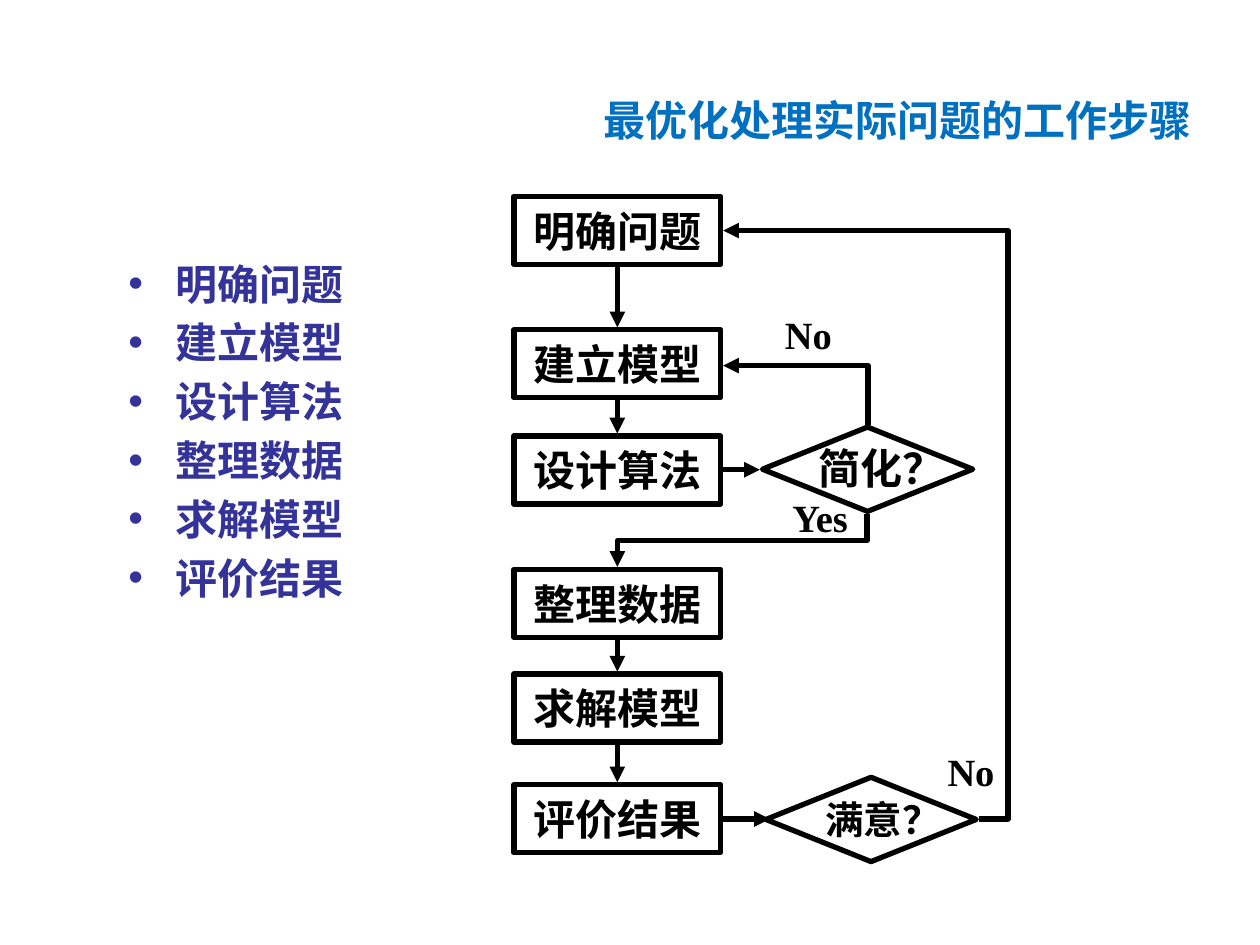
from lxml import etree
from pptx import Presentation
from pptx.dml.color import RGBColor
from pptx.enum import shapes, text
from pptx.oxml import ns
from pptx.util import Cm, Pt

BLACK = RGBColor(0x00, 0x00, 0x00)
INDIGO = RGBColor(0x33, 0x33, 0x99)
BLUE = RGBColor(0x00, 0x70, 0xC0)
SERIF, SANS, HAN = "Times New Roman", "Arial", "Noto Sans CJK SC"

STEPS = ["明确问题", "建立模型", "设计算法", "整理数据", "求解模型", "评价结果"]
TOPS = [3.96, 6.65, 8.79, 11.48, 13.59, 15.82]
LEFT, WIDE, HIGH = 10.36, 4.17, 1.37
MID = LEFT + WIDE / 2
SIDE = LEFT + WIDE + 0.05
GAP = 0.05


def add(node, tag, **attrs):
    return etree.SubElement(node, ns.qn(tag), **attrs)


def style(par, size, color, face):
    for run in par.runs:
        font = run.font
        font.size, font.bold = Pt(size), True
        font.color.rgb = color
        font.name = face
        add(font._element, "a:ea", typeface=HAN)


def label(slide, words, x, y, w, h, size=24):
    """Centred black text with no outline."""
    box = slide.shapes.add_textbox(Cm(x), Cm(y), Cm(w), Cm(h))
    center(box.text_frame, words, size)


def center(frame, words, size=24):
    frame.text = words
    frame.word_wrap = False
    frame.vertical_anchor = text.MSO_ANCHOR.MIDDLE
    par = frame.paragraphs[0]
    par.alignment = text.PP_ALIGN.CENTER
    style(par, size, BLACK, SERIF)


def node(slide, kind, x, y, w, h):
    shape = slide.shapes.add_shape(kind, Cm(x), Cm(y), Cm(w), Cm(h))
    shape.shadow.inherit = False
    shape.fill.background()
    shape.line.color.rgb = BLACK
    shape.line.width = Pt(3)
    return shape


def arrow(slide, start, end, kind=shapes.MSO_CONNECTOR.STRAIGHT, turn=False):
    """Arrow from start to end; turn makes an elbow leave vertically."""
    cx, cy = (start[0] + end[0]) / 2, (start[1] + end[1]) / 2
    dx, dy = start[0] - cx, start[1] - cy
    if turn:
        dx, dy = dy, -dx
    link = slide.shapes.add_connector(
        kind, Cm(cx + dx), Cm(cy + dy), Cm(cx - dx), Cm(cy - dy))
    link.line.color.rgb = BLACK
    link.line.width = Pt(3)
    props = link._element.spPr
    add(props.find(ns.qn("a:ln")), "a:tailEnd", type="triangle")
    add(props, "a:effectLst")
    if turn:
        props.find(ns.qn("a:xfrm")).set("rot", "5400000")
    return props.find(ns.qn("a:prstGeom"))


def bullets(slide):
    box = slide.shapes.add_textbox(Cm(2.34), Cm(5.08), Cm(5.28), Cm(11.63))
    frame = box.text_frame
    frame.word_wrap = True
    frame.text = "\n".join(STEPS)
    for par in frame.paragraphs:
        par.space_before = Pt(4.8)
        style(par, 24, INDIGO, SANS)
        props = par._p.get_or_add_pPr()
        props.set("marL", str(Cm(0.95)))
        props.set("indent", str(-Cm(0.95)))
        add(props, "a:buFont", typeface=SANS)
        add(props, "a:buChar", char="•")


def title(slide):
    box = slide.shapes.add_textbox(Cm(11.91), Cm(1.78), Cm(12.7), Cm(1.3))
    box.text_frame.word_wrap = True
    box.text_frame.text = "最优化处理实际问题的工作步骤"
    style(box.text_frame.paragraphs[0], 24, BLUE, HAN)


def chart(slide):
    # Steps and the arrows down between them
    for words, top in zip(STEPS, TOPS):
        box = node(slide, shapes.MSO_SHAPE.RECTANGLE, LEFT, top, WIDE, HIGH)
        center(box.text_frame, words)
    for i, (top, below) in enumerate(zip(TOPS, TOPS[1:])):
        if i != 2:
            arrow(slide, (MID, top + HIGH + GAP), (MID, below - GAP))

    # Decisions
    for x, y in [(15.37, 8.61), (15.44, 15.67)]:
        node(slide, shapes.MSO_SHAPE.FLOWCHART_DECISION, x, y, 4.24, 1.7)
    label(slide, "简化？", 16.23, 8.79, 3.07, 1.27)
    label(slide, "满意？", 16.27, 15.88, 3.07, 1.27, 22)
    arrow(slide, (SIDE, 9.47), (15.32, 9.47))
    arrow(slide, (SIDE, 16.51), (15.52, 16.51))

    # Branches
    elbow = shapes.MSO_CONNECTOR.ELBOW
    arrow(slide, (17.48, 10.36), (MID, TOPS[3] - GAP), elbow, True)
    back = arrow(slide, (17.5, 8.56), (SIDE, 7.37), elbow, True)
    back.set("prst", "bentConnector2")
    loop = arrow(slide, (19.74, 16.51), (SIDE, 4.65), elbow)
    guides = loop.find(ns.qn("a:avLst"))
    if guides is None:
        guides = add(loop, "a:avLst")
    add(guides, "a:gd", name="adj1", fmla="val -11300")
    label(slide, "Yes", 15.67, 9.83, 1.73, 1.19, 22)
    label(slide, "No", 15.57, 6.15, 1.45, 1.19, 22)
    label(slide, "No", 18.85, 14.94, 1.45, 1.19, 22)


def main():
    deck = Presentation()
    deck.slide_width, deck.slide_height = Cm(25.4), Cm(19.05)
    slide = deck.slides.add_slide(deck.slide_layouts[6])
    chart(slide)
    bullets(slide)
    title(slide)
    deck.save("out.pptx")


if __name__ == "__main__":
    main()
